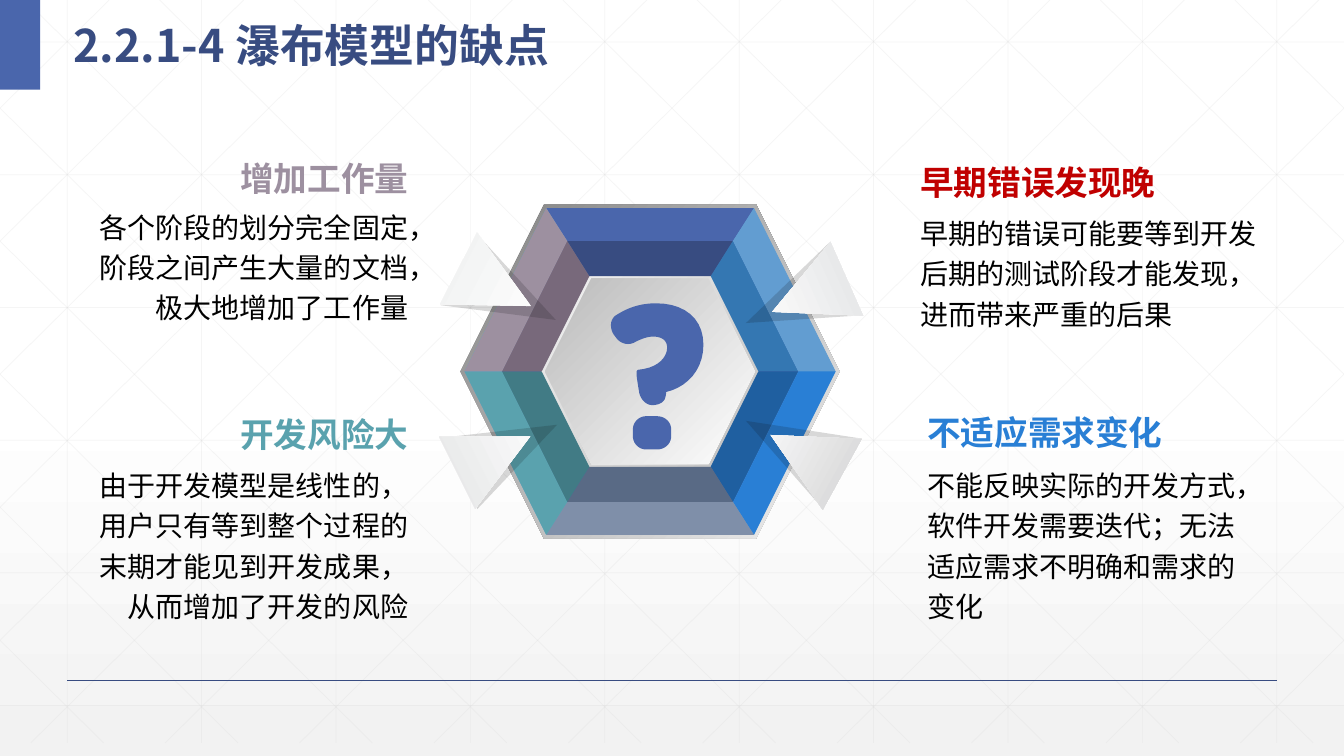
from collections import namedtuple
from dataclasses import dataclass

from lxml.etree import SubElement
from pptx import Presentation
from pptx.dml.color import RGBColor as Rgb
from pptx.enum.shapes import MSO_CONNECTOR as Connector, MSO_SHAPE as Preset
from pptx.enum.text import MSO_ANCHOR as Anchor, PP_ALIGN as Align
from pptx.oxml.ns import qn
from pptx.util import Pt

Box = namedtuple("Box", "left top width height")


@dataclass(frozen=True)
class Theme:
    latin: str = "Arial"
    chinese: str = "Noto Sans CJK SC"
    title_size: int = 32
    heading_size: int = 24
    body_size: int = 20
    white: str = "FFFFFF"
    haze: str = "F2F2F2"
    grid: str = "D9D9D9"
    shade: str = "0D0D0D"
    body: str = "000000"
    navy: str = "384C81"
    indigo: str = "4A66AC"
    sky: str = "629DD1"
    blue: str = "297FD5"
    teal: str = "5AA2AE"
    mauve: str = "9D90A0"
    red: str = "C00000"
    # Clockwise from the top edge
    outer_ring: tuple = (indigo, sky, blue, "7F8FA9", teal, mauve)
    inner_ring: tuple = (navy, "3477B2", "1F5FA0", "596A85", "417B85", "78697B")


THEME = Theme()


# ---- Shared helpers ----
def set_alpha(fill_parent, percent):
    color = next(fill_parent.iter(qn("a:srgbClr")))
    SubElement(color, qn("a:alpha")).set("val", str(percent * 1000))


def set_gradient(fill, start, end, clockwise):
    fill.gradient()
    fill.gradient_angle = -clockwise % 360
    for stop, color in zip(fill.gradient_stops, (start, end)):
        stop.color.rgb = Rgb.from_string(color)


def paint(shape, color):
    """Fill with one colour, or with a (start, end, angle) gradient."""
    shape.shadow.inherit = False
    shape.line.fill.background()
    if isinstance(color, tuple):
        set_gradient(shape.fill, *color)
    else:
        shape.fill.solid()
        shape.fill.fore_color.rgb = Rgb.from_string(color)
    return shape


def add_preset(page, preset, center, width, height, color, rotation=0):
    x, y = center
    shape = page.shapes.add_shape(preset, Pt(x - width / 2), Pt(y - height / 2),
                                  Pt(width), Pt(height))
    shape.rotation = rotation
    return paint(shape, color)


def add_outline(page, contours, color):
    first, *others = [[(Pt(x), Pt(y)) for x, y in points] for points in contours]
    builder = page.shapes.build_freeform(*first[0], scale=1.0)
    builder.add_line_segments(first[1:], close=True)
    for points in others:
        builder.move_to(*points[0])
        builder.add_line_segments(points[1:], close=True)
    return paint(builder.convert_to_shape(), color)


def add_line(page, start, end, color, width, alpha=None):
    line = page.shapes.add_connector(Connector.STRAIGHT, *map(Pt, start + end))
    line.line.color.rgb = Rgb.from_string(color)
    line.line.width = Pt(width)
    properties = line._element.spPr
    if alpha:
        set_alpha(properties, alpha)
    SubElement(properties, qn("a:effectLst"))


def add_text(page, box, runs, size, color, bold=False, align=Align.LEFT,
             anchor=Anchor.TOP, spacing=1.0, wrap=True, insets=(0, 0)):
    frame = page.shapes.add_textbox(*map(Pt, box)).text_frame
    frame.word_wrap = wrap
    frame.vertical_anchor = anchor
    frame.margin_left = frame.margin_right = Pt(insets[0])
    frame.margin_top = frame.margin_bottom = Pt(insets[1])
    para = frame.paragraphs[0]
    para.alignment = align
    para.line_spacing = spacing
    for text, font_name in runs:
        run = para.add_run()
        run.text = text
        run.font.size = Pt(size)
        run.font.bold = bold
        run.font.color.rgb = Rgb.from_string(color)
        run.font.name = font_name
        SubElement(run.font._element, qn("a:ea")).set("typeface", THEME.chinese)


# ---- Backdrop: soft gradient and lattice ----
def draw_backdrop(page, box):
    set_gradient(page.background.fill, THEME.white, THEME.haze, 90)
    page.background.fill.gradient_stops[0].position = 0.53
    left, top, width, height = box
    pitch, slope = 96, 0.99
    segments = [((48 + pitch * i, 0), (48 + pitch * i, height)) for i in range(10)]
    segments += [((0, 30 + 94.8 * i), (width, 30 + 94.8 * i)) for i in range(6)]
    for i in range(-5, 10):
        origin = 18 + pitch * i
        x1, x2 = max(origin, 0), min(origin + height / slope, width)
        y1, y2 = (x1 - origin) * slope, (x2 - origin) * slope
        segments += [((x1, y1), (x2, y2)), ((width - x1, y1), (width - x2, y2))]
    for (x1, y1), (x2, y2) in segments:
        add_line(page, (left + x1, top + y1), (left + x2, top + y2), THEME.grid, 0.5, 25)


# ---- Title bar and footer rule ----
def draw_frame(page, box):
    add_line(page, (box.left + 48, box.top + 486),
             (box.left + box.width - 48, box.top + 486), THEME.navy, 1)
    add_preset(page, Preset.RECTANGLE, (box.left + 14.4, box.top + 32), 28.8, 64, THEME.indigo)
    add_text(page, Box(box.left + 45.4, box.top, 479.5, 52.6),
             [("2.2.1-4 ", THEME.chinese), ("瀑布模型的缺点", THEME.latin)],
             THEME.title_size, THEME.navy, bold=True, anchor=Anchor.MIDDLE,
             spacing=1.3, insets=(7.2, 3.6))


# ---- Hexagonal emblem ----
def hexagon_corners(center, width, height):
    x, y = center
    half, rise, flat = width / 2, height / 2, width / 2 - height / 4
    return [(x - flat, y - rise), (x + flat, y - rise), (x + half, y),
            (x + flat, y + rise), (x - flat, y + rise), (x - half, y)]


def draw_emblem(page, box):
    center = x, y = box.left + box.width / 2, box.top + box.height / 2
    outer, middle, inner = (265, 233.3), (211.7, 186.5), (154.8, 136.1)
    for size, color in [((box.width, box.height), ("808080", THEME.haze, 45)),
                        (outer, THEME.sky), (middle, THEME.indigo),
                        (inner, ("BFBFBF", THEME.haze, 225)),
                        ((149.8, 132.5), (THEME.white, "BABABA", 225))]:
        add_preset(page, Preset.HEXAGON, center, *size, color)

    # Bevelled facets between neighbouring rings
    for large, small, colors in [(middle, inner, THEME.inner_ring),
                                 (outer, middle, THEME.outer_ring)]:
        far, near = hexagon_corners(center, *large), hexagon_corners(center, *small)
        for i, color in enumerate(colors):
            j = (i + 1) % 6
            add_outline(page, [[far[i], far[j], near[j], near[i]]], color)

    # Paper spikes: angle, shadow offset, spike offset, end colour
    for angle, shadow, spike, color in [
            (298.8, (102.6, 54), (111.6, 59.4), "D3D3D4"),
            (246.1, (104, -50.4), (113.8, -54.4), "E2E3E4"),
            (63.5, (-101.2, 55.4), (-111.6, 59.4), "E4E5E6"),
            (117.4, (-101.9, -54.7), (-110.9, -60.1), "F0F1F1")]:
        dark = add_preset(page, Preset.ISOSCELES_TRIANGLE, (x + shadow[0], y + shadow[1]),
                          56.9, 77.8, THEME.shade, angle)
        set_alpha(dark._element.spPr, 16)
        add_preset(page, Preset.ISOSCELES_TRIANGLE, (x + spike[0], y + spike[1]),
                   57.6, 58.3, (THEME.white, color, 90), angle)
    draw_question_mark(page, Box(x - 28.1, y - 48.7, 66.2, 104.4))


# Contours on a 92 by 145 grid: pairs are corners, sixes are Bézier curves
QUESTION_DOT = [(35, 112), (46, 112), (54, 112, 60, 118, 60, 125), (60, 132),
                (60, 139, 54, 145, 46, 145), (35, 145), (28, 145, 22, 139, 22, 132),
                (22, 125), (22, 118, 28, 112, 35, 112)]
QUESTION_HOOK = [(45, 0), (73, 0, 92, 15, 92, 41), (92, 66, 76, 83, 55, 88),
                 (55, 88, 55, 91, 54, 94), (53, 98, 48, 101, 41, 101),
                 (35, 101, 29, 95, 28, 87), (27, 81), (26, 74, 25, 68, 26, 67), (27, 66),
                 (49, 64, 56, 52, 56, 44), (56, 37, 51, 33, 42, 33), (37, 33, 31, 35, 25, 38),
                 (19, 42, 11, 41, 6, 35), (3, 31), (-1, 25, -1, 16, 5, 12), (16, 5, 28, 0, 45, 0)]


def flatten(contour, steps=10):
    points = []
    for part in contour:
        if len(part) == 2:
            points.append(part)
            continue
        start = points[-1]
        for t in (step / steps for step in range(1, steps + 1)):
            weights = (1 - t) ** 3, 3 * t * (1 - t) ** 2, 3 * t * t * (1 - t), t ** 3
            points.append(tuple(sum(w * v for w, v in zip(weights, (start[k], *part[k::2])))
                                for k in (0, 1)))
    return points


def draw_question_mark(page, box):
    contours = [[(box.left + px * box.width / 92, box.top + py * box.height / 145)
                 for px, py in flatten(contour)] for contour in (QUESTION_DOT, QUESTION_HOOK)]
    add_outline(page, contours, THEME.indigo)


# ---- Drawback panel: heading above body ----
def draw_panel(page, box, body_top, heading, body, color, align):
    add_text(page, box._replace(width=235.4, height=body_top - box.top),
             [(heading, THEME.latin)], THEME.heading_size, color, bold=True,
             align=align, anchor=Anchor.MIDDLE, wrap=False)
    add_text(page, box._replace(top=body_top, height=box.top + box.height - body_top),
             [(body, THEME.latin)], THEME.body_size, THEME.body, align=align, spacing=1.2)


PANELS = [
    (Box(657.4, 110.2, 244.8, 135.3), 149.8, "早期错误发现晚",
     "早期的错误可能要等到开发后期的测试阶段才能发现，进而带来严重的后果", THEME.red, Align.LEFT),
    (Box(56.2, 108.7, 235.4, 144.7), 145.4, "增加工作量",
     "各个阶段的划分完全固定，阶段之间产生大量的文档，极大地增加了工作量", THEME.mauve, Align.RIGHT),
    (Box(56.2, 290.9, 235.4, 169.2), 329.8, "开发风险大",
     "由于开发模型是线性的，用户只有等到整个过程的末期才能见到开发成果，从而增加了开发的风险",
     THEME.teal, Align.RIGHT),
    (Box(662.4, 287.8, 235.4, 181), 329.8, "不适应需求变化",
     "不能反映实际的开发方式，软件开发需要迭代；无法适应需求不明确和需求的变化", THEME.blue, Align.LEFT),
]


def main():
    deck = Presentation()
    deck.slide_width, deck.slide_height = Pt(960), Pt(540)
    page = deck.slides.add_slide(deck.slide_layouts[6])
    draw_backdrop(page, Box(0, 0, 960, 530.6))
    draw_frame(page, Box(0, 0, 960, 540))
    draw_emblem(page, Box(329, 146.2, 270.7, 238.3))
    for panel in PANELS:
        draw_panel(page, *panel)
    deck.save("out.pptx")


if __name__ == "__main__":
    main()
